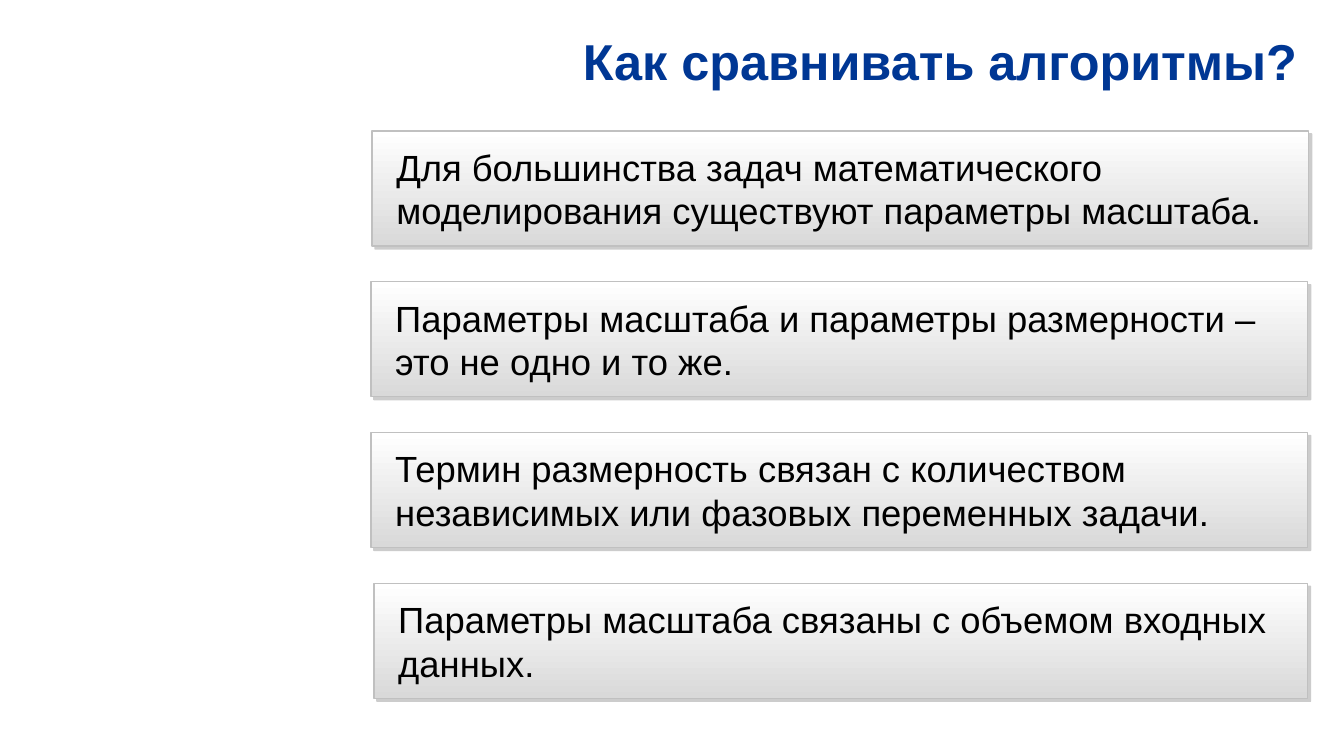
"""Build the slide on comparing algorithms."""
from lxml.etree import SubElement
from pptx import Presentation
from pptx.dml.color import RGBColor
from pptx.enum.shapes import MSO_SHAPE
from pptx.enum.text import MSO_ANCHOR, PP_ALIGN
from pptx.oxml.ns import qn
from pptx.util import Inches, Pt

HEADING = "Как сравнивать алгоритмы?"
STATEMENTS = [
    ("Для большинства задач математического моделирования существуют параметры масштаба.", 3.69, 9.29),
    ("Параметры масштаба и параметры размерности – это не одно и то же.", 3.68, 9.29),
    ("Термин размерность связан с количеством независимых или фазовых переменных задачи.", 3.68, 9.29),
    ("Параметры масштаба связаны с объемом входных данных.", 3.71, 9.26),
]
COLORS = {
    "heading": "003794",
    "text": "000000",
    "panel_top": "FFFFFF",
    "panel_bottom": "D9D9D9",
    "border": "C0C0C0",
    "shadow": "808080",
}
FONT = "Arial"
FIRST_TOP, PITCH, PANEL_HEIGHT = 1.3, 1.496, 1.14


def color(name):
    return RGBColor.from_string(COLORS[name])


def write(frame, text, size, color_name, align, bold=False):
    frame.word_wrap = True
    frame.vertical_anchor = MSO_ANCHOR.MIDDLE
    paragraph = frame.paragraphs[0]
    paragraph.alignment = align
    run = paragraph.add_run()
    run.text = text
    run.font.name = FONT
    run.font.size = Pt(size)
    run.font.bold = bold
    run.font.color.rgb = color(color_name)


def add_shadow(panel):
    panel.shadow.inherit = False
    effects = panel.element.spPr.find(qn("a:effectLst"))
    shadow = SubElement(effects, qn("a:outerShdw"), blurRad="0", dist=str(Pt(3)),
                        dir="2700000", algn="tl", rotWithShape="0")
    shade = SubElement(shadow, qn("a:srgbClr"), val=COLORS["shadow"])
    SubElement(shade, qn("a:alpha"), val="40000")


def add_panel(slide, text, left, top, width):
    panel = slide.shapes.add_shape(MSO_SHAPE.RECTANGLE, Inches(left), Inches(top),
                                   Inches(width), Inches(PANEL_HEIGHT))
    panel.fill.gradient()
    panel.fill.gradient_angle = 270
    for stop, name in zip(panel.fill.gradient_stops, ("panel_top", "panel_bottom")):
        stop.color.rgb = color(name)
    panel.line.color.rgb = color("border")
    panel.line.width = Pt(1)
    add_shadow(panel)
    frame = panel.text_frame
    frame.margin_left = frame.margin_right = Inches(0.24)
    frame.margin_top = frame.margin_bottom = Inches(0.04)
    write(frame, text, 26, "text", PP_ALIGN.LEFT)


def main():
    deck = Presentation()
    deck.slide_width, deck.slide_height = Inches(13.33), Inches(7.5)
    slide = deck.slides.add_slide(deck.slide_layouts[5])
    heading = slide.shapes.title
    heading.left, heading.top = Inches(3.68), Inches(0.26)
    heading.width, heading.height = Inches(9.29), Inches(0.68)
    write(heading.text_frame, HEADING, 36, "heading", PP_ALIGN.RIGHT, bold=True)
    for row, (text, left, width) in enumerate(STATEMENTS):
        add_panel(slide, text, left, FIRST_TOP + row * PITCH, width)
    deck.save("out.pptx")


if __name__ == "__main__":
    main()
